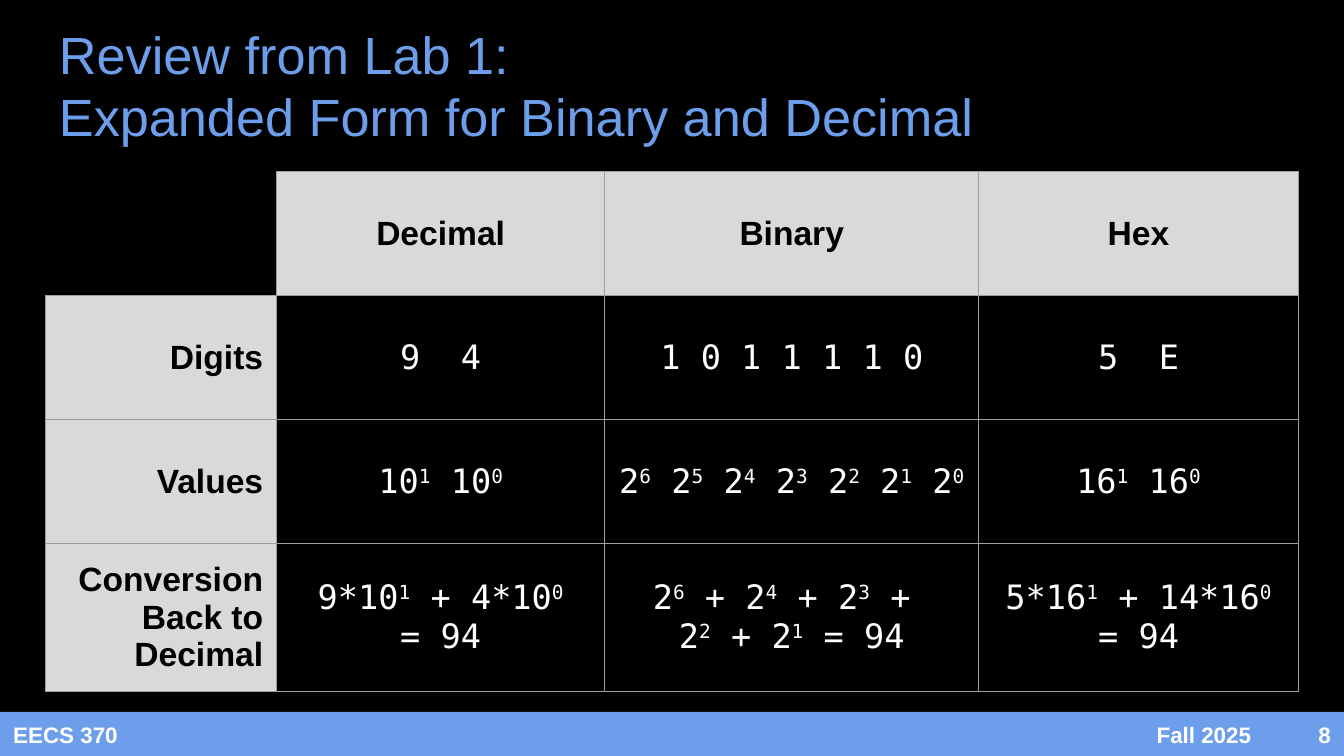
import pptx
import pptx.util
import pptx.dml.color
import pptx.enum.shapes
import pptx.enum.text
import pptx.oxml.ns
import lxml.etree

Pt = pptx.util.Pt
RGB = pptx.dml.color.RGBColor.from_string
ALIGN = pptx.enum.text.PP_ALIGN
MIDDLE = pptx.enum.text.MSO_ANCHOR.MIDDLE

# Content: ^ raises the digit after it, a newline breaks the line
TITLE = ["Review from Lab 1:", "Expanded Form for Binary and Decimal"]
ROWS = [
    ["", "Decimal", "Binary", "Hex"],
    ["Digits", "9  4", "1 0 1 1 1 1 0", "5  E"],
    ["Values", "10^1 10^0", "2^6 2^5 2^4 2^3 2^2 2^1 2^0", "16^1 16^0"],
    ["Conversion\nBack to Decimal", "9*10^1 + 4*10^0\n= 94",
     "2^6 + 2^4 + 2^3 + \n2^2 + 2^1 = 94", "5*16^1 + 14*16^0\n= 94"],
]
COLORS = {"back": "000000", "accent": "6D9EEB", "light": "FFFFFF",
          "dark": "000000", "header": "D9D9D9", "border": "9E9E9E"}

# Layout in points
SLIDE_W, SLIDE_H = 720, 405
BAR_TOP, BAR_H = 381.4, 24
COL_WIDTHS = [123.8, 175.8, 200.4, 171.2]
ROW_H = 66.4
FOOTER = [("EECS 370", 0, 131, ALIGN.LEFT),
          ("Fall 2025", 546.4, 131, ALIGN.RIGHT),
          ("8", 677.4, 42.6, ALIGN.RIGHT)]


def add_run(p, text, size, font, color, bold, raised=False):
    r = p.add_run()
    r.text = text
    r.font.size, r.font.name, r.font.bold = Pt(size), font, bold
    r.font.color.rgb = RGB(color)
    if raised:
        r.font._element.set("baseline", "30000")


def write(tf, paragraphs, size=18, font="Arial", color=COLORS["light"],
          bold=False, align=ALIGN.LEFT):
    tf.word_wrap = True
    for i, text in enumerate(paragraphs):
        p = tf.add_paragraph() if i else tf.paragraphs[0]
        p.alignment = align
        for n, line in enumerate(text.split("\n")):
            if n:
                p.add_line_break()
            first, *rest = line.split("^")
            pieces = [(first, False)]
            for part in rest:
                pieces += [(part[0], True), (part[1:], False)]
            for piece, raised in pieces:
                if piece:
                    add_run(p, piece, size, font, color, bold, raised)


def set_margins(item):
    item.margin_left = item.margin_right = Pt(7.2)
    item.margin_top = item.margin_bottom = Pt(7.2)
    item.vertical_anchor = MIDDLE


def set_borders(cell, visible):
    tcPr = cell._tc.get_or_add_tcPr()
    qn = pptx.oxml.ns.qn
    for i, side in enumerate("LRTB"):
        ln = lxml.etree.Element(qn("a:ln" + side), w=str(Pt(0.75)))
        if side in visible:
            fill = lxml.etree.SubElement(ln, qn("a:solidFill"))
            lxml.etree.SubElement(fill, qn("a:srgbClr"), val=COLORS["border"])
        else:
            lxml.etree.SubElement(ln, qn("a:noFill"))
        tcPr.insert(i, ln)


prs = pptx.Presentation()
prs.slide_width, prs.slide_height = Pt(SLIDE_W), Pt(SLIDE_H)
s = prs.slides.add_slide(prs.slide_layouts[5])
s.background.fill.solid()
s.background.fill.fore_color.rgb = RGB(COLORS["back"])

# Footer bar
bar = s.shapes.add_shape(pptx.enum.shapes.MSO_SHAPE.RECTANGLE,
                         0, Pt(BAR_TOP), Pt(SLIDE_W), Pt(BAR_H))
bar.shadow.inherit = False
bar.fill.solid()
bar.fill.fore_color.rgb = RGB(COLORS["accent"])
bar.line.fill.background()
for text, left, width, align in FOOTER:
    box = s.shapes.add_textbox(Pt(left), Pt(BAR_TOP), Pt(width), Pt(BAR_H))
    set_margins(box.text_frame)
    write(box.text_frame, [text], size=12, bold=True, align=align)

# Title
title = s.shapes.title
title.left, title.top, title.width, title.height = Pt(24.4), 0, Pt(583.2), Pt(90.8)
set_margins(title.text_frame)
title.text_frame.auto_size = pptx.enum.text.MSO_AUTO_SIZE.NONE
write(title.text_frame, TITLE, size=28, color=COLORS["accent"])

# Table
frame = s.shapes.add_table(len(ROWS), len(COL_WIDTHS), Pt(24.4), Pt(92),
                           Pt(sum(COL_WIDTHS)), Pt(ROW_H * len(ROWS)))
table = frame.table
table.first_row = table.horz_banding = False
for column, width in zip(table.columns, COL_WIDTHS):
    column.width = Pt(width)
for y, row in enumerate(ROWS):
    table.rows[y].height = Pt(ROW_H)
    for x, text in enumerate(row):
        cell = table.cell(y, x)
        set_margins(cell)
        header = bool(text) and (x == 0 or y == 0)
        if header:
            cell.fill.solid()
            cell.fill.fore_color.rgb = RGB(COLORS["header"])
        else:
            cell.fill.background()
        set_borders(cell, "LRTB" if text else "RB")
        write(cell.text_frame, [text], bold=header,
              font="Arial" if header else "DejaVu Sans Mono",
              color=COLORS["dark" if header else "light"],
              align=ALIGN.CENTER if x else ALIGN.RIGHT)

prs.save("out.pptx")
